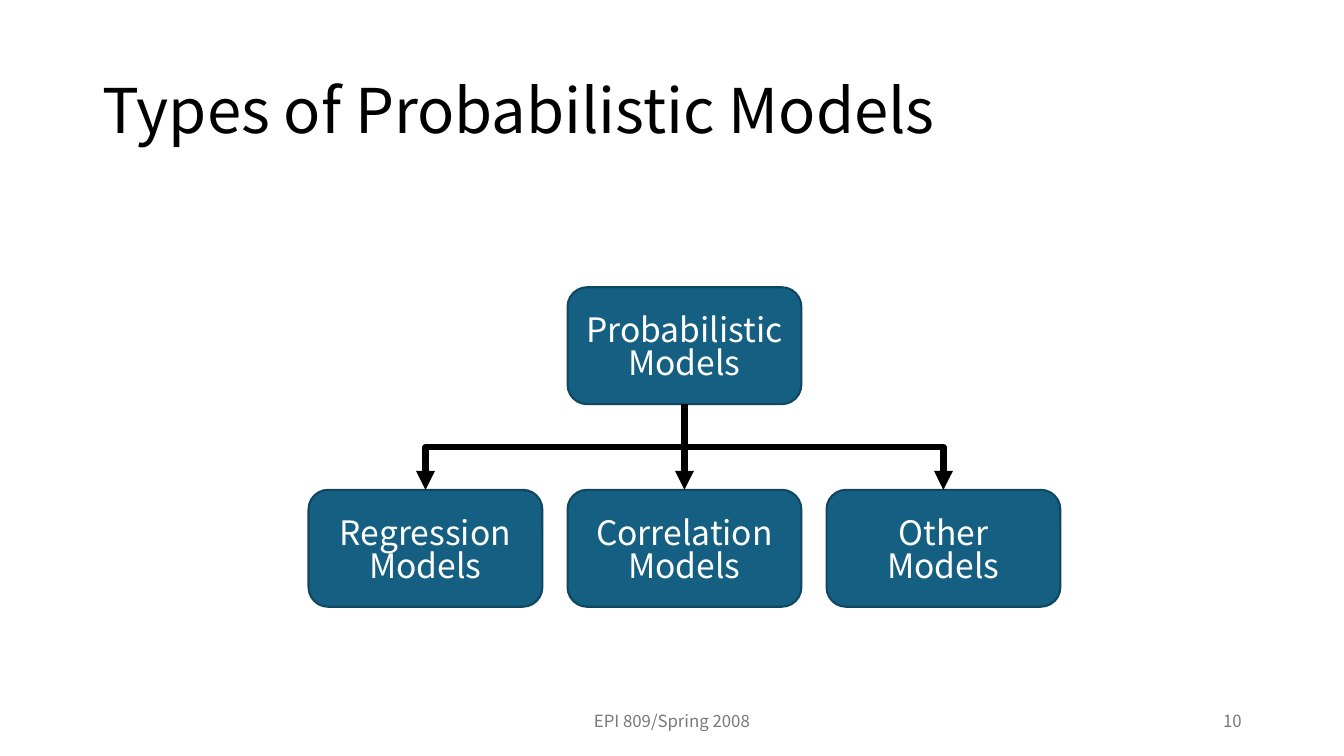
import pptx
import pptx.dml.color
import pptx.enum.shapes
import pptx.enum.text
import pptx.oxml
import pptx.oxml.ns
import pptx.util
from pptx.util import Pt

RGBColor = pptx.dml.color.RGBColor
PP_ALIGN = pptx.enum.text.PP_ALIGN
MIDDLE = pptx.enum.text.MSO_ANCHOR.MIDDLE
CONNECTOR = pptx.enum.shapes.MSO_CONNECTOR

BLACK = RGBColor(0x00, 0x00, 0x00)
WHITE = RGBColor(0xFF, 0xFF, 0xFF)
GRAY = RGBColor(0x79, 0x79, 0x79)
BLUE = RGBColor(0x15, 0x60, 0x82)
DARK_BLUE = RGBColor(0x10, 0x47, 0x60)
FONT = "Noto Sans CJK JP"

BOX_WIDTH, BOX_HEIGHT = 167, 83.5
BOX_STEP = 185
ROOT_LEFT, ROOT_TOP = 405.4, 205.2
CHILD_TOP = 349.9
BOTTOM_SITE, TOP_SITE = 2, 0
CHILDREN = ["Regression\vModels", "Correlation\vModels", "Other\vModels"]


def write_text(frame, text, size, color, align, line_spacing=None):
    frame.word_wrap = True
    frame.vertical_anchor = MIDDLE
    paragraph = frame.paragraphs[0]
    paragraph.text = text
    paragraph.alignment = align
    paragraph.line_spacing = line_spacing
    paragraph.font.name = FONT
    paragraph.font.size = Pt(size)
    paragraph.font.color.rgb = color


def add_label(slide, bounds, text, size, color, align, line_spacing=None):
    label = slide.shapes.add_textbox(*map(Pt, bounds))
    write_text(label.text_frame, text, size, color, align, line_spacing)


def add_model_box(slide, left, top, text):
    box = slide.shapes.add_shape(
        pptx.enum.shapes.MSO_SHAPE.ROUNDED_RECTANGLE,
        Pt(left), Pt(top), Pt(BOX_WIDTH), Pt(BOX_HEIGHT))
    box.shadow.inherit = False
    box.fill.solid()
    box.fill.fore_color.rgb = BLUE
    box.line.color.rgb = DARK_BLUE
    box.line.width = Pt(1.5)
    write_text(box.text_frame, text, 24, WHITE, PP_ALIGN.CENTER, 0.82)
    box.text_frame.margin_top = Pt(9)
    return box


def turn_elbow(arrow, to_right):
    """Rotate an elbow about its centre so that it leaves and arrives vertically."""
    left, top, width, height = arrow.left, arrow.top, arrow.width, arrow.height
    arrow.left = left + (width - height) // 2
    arrow.top = top + (height - width) // 2
    arrow.width, arrow.height = height, width
    xfrm = arrow._element.spPr.find(pptx.oxml.ns.qn("a:xfrm"))
    xfrm.set("rot", str((270 if to_right else 90) * 60000))
    xfrm.set("flipH", "1" if to_right else "0")


def add_arrow(slide, parent, child):
    straight = parent.left == child.left
    kind = CONNECTOR.STRAIGHT if straight else CONNECTOR.ELBOW
    arrow = slide.shapes.add_connector(kind, 0, 0, 0, 0)
    arrow.begin_connect(parent, BOTTOM_SITE)
    arrow.end_connect(child, TOP_SITE)
    if not straight:
        turn_elbow(arrow, child.left > parent.left)
    arrow.line.color.rgb = BLACK
    arrow.line.width = Pt(4.5)
    namespace = pptx.oxml.ns.nsdecls("a")
    arrow.line._get_or_add_ln().append(
        pptx.oxml.parse_xml(f'<a:tailEnd {namespace} type="triangle"/>'))
    arrow._element.spPr.append(pptx.oxml.parse_xml(f"<a:effectLst {namespace}/>"))


def main():
    deck = pptx.Presentation()
    deck.slide_width, deck.slide_height = Pt(960), Pt(540)
    slide = deck.slides.add_slide(deck.slide_layouts[6])

    add_label(slide, (318, 500.5, 324, 28.8), "EPI 809/Spring 2008",
              12, GRAY, PP_ALIGN.CENTER)
    add_label(slide, (678, 500.5, 216, 28.8), "10", 12, GRAY, PP_ALIGN.RIGHT)
    add_label(slide, (66, 28.8, 828, 104.4), "Types of Probabilistic Models",
              44, BLACK, PP_ALIGN.LEFT, 0.9)

    root = add_model_box(slide, ROOT_LEFT, ROOT_TOP, "Probabilistic Models")
    children = [
        add_model_box(slide, ROOT_LEFT + (column - 1) * BOX_STEP, CHILD_TOP, text)
        for column, text in enumerate(CHILDREN)]
    for child in children:
        add_arrow(slide, root, child)

    deck.save("out.pptx")


if __name__ == "__main__":
    main()
